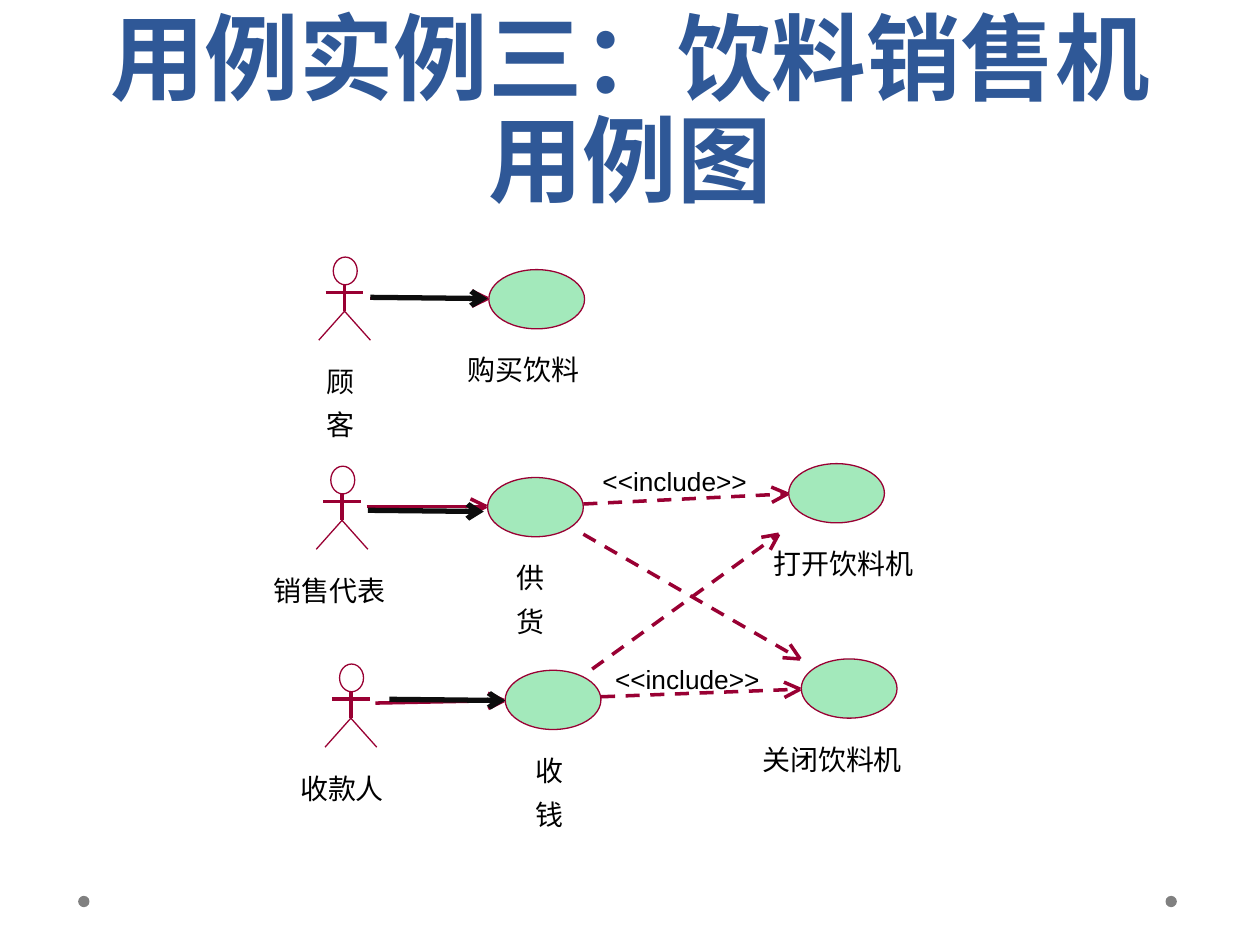
import math
from lxml import etree
from pptx import Presentation
from pptx import util as u
from pptx.dml.color import RGBColor
from pptx.enum import dml, shapes, text
from pptx.oxml.ns import qn

INK = {"title": "2F5897", "text": "000000", "edge": "990033",
       "case": "A3E9BB", "heavy": "0D0D0D", "dot": "808080"}
SERIF = "Times New Roman"
CASE = (0.76, 0.47)


def tint(name):
    return RGBColor.from_string(INK[name])


def edge(part):
    part.line.color.rgb = tint("edge")
    part.line.width = u.Pt(0)


def oval(slide, box, fill=None, lined=True):
    part = slide.shapes.add_shape(shapes.MSO_SHAPE.OVAL, *map(u.Inches, box))
    part.shadow.inherit = False
    if fill:
        part.fill.solid()
        part.fill.fore_color.rgb = tint(fill)
    else:
        part.fill.background()
    if lined:
        edge(part)
    else:
        part.line.fill.background()


def line(slide, start, end, dash=False):
    part = slide.shapes.add_connector(
        shapes.MSO_CONNECTOR.STRAIGHT, *map(u.Inches, (*start, *end)))
    edge(part)
    if dash:
        part.line.dash_style = dml.MSO_LINE.DASH
    etree.SubElement(part._element.spPr, qn("a:effectLst"))
    return part


def arrow(slide, start, end, dash=False):
    line(slide, start, end, dash)
    x, y = end
    angle = math.atan2(start[1] - y, start[0] - x)
    for turn in (-0.45, 0.45):
        line(slide, end, (x + 0.14 * math.cos(angle + turn),
                          y + 0.14 * math.sin(angle + turn)))


def heavy(slide, start, end):
    part = line(slide, start, end)
    part.line.color.rgb = tint("heavy")
    part.line.width = u.Pt(3)
    etree.SubElement(part.line._get_or_add_ln(), qn("a:tailEnd"), type="arrow")


def label(slide, words, box, font=SERIF, size=16):
    frame = slide.shapes.add_textbox(*map(u.Inches, box)).text_frame
    frame.margin_left = frame.margin_right = 0
    frame.margin_top = frame.margin_bottom = 0
    frame.word_wrap = False
    frame.auto_size = text.MSO_AUTO_SIZE.SHAPE_TO_FIT_TEXT
    para = frame.paragraphs[0]
    para.text = words
    para.alignment = text.PP_ALIGN.CENTER
    para.line_spacing = 1.3
    para.font.name = font
    para.font.size = u.Pt(size)
    para.font.color.rgb = tint("text")


def actor(slide, box, name, left, width):
    x, y, w, h = box
    mid = x + w / 2
    neck, hip = y + 0.22, y + 0.43
    oval(slide, (mid - 0.09, y, 0.19, 0.22))
    line(slide, (mid, neck), (mid, hip))
    line(slide, (mid - 0.15, neck + 0.06), (mid + 0.15, neck + 0.06))
    pen = slide.shapes.build_freeform(u.Inches(x), u.Inches(y + h))
    pen.add_line_segments([(u.Inches(mid), u.Inches(hip)),
                           (u.Inches(x + w), u.Inches(y + h))], close=False)
    legs = pen.convert_to_shape()
    legs.shadow.inherit = False
    legs.fill.background()
    edge(legs)
    label(slide, name, (left, y + 0.77, width, 0.35))


def case(slide, box, name, left, width, font=SERIF):
    oval(slide, box, "case")
    label(slide, name, (left, box[1] + 0.58, width, 0.35), font)


def heading(slide, box, words):
    title = slide.shapes.title
    title.left, title.top, title.width, title.height = map(u.Inches, box)
    frame = title.text_frame
    frame.vertical_anchor = text.MSO_ANCHOR.BOTTOM
    frame.word_wrap = True
    para = frame.paragraphs[0]
    para.text = words
    para.alignment = text.PP_ALIGN.CENTER
    para.line_spacing = u.Pt(58)
    para.font.name = "Roboto"
    para.font.size = u.Pt(54)
    para.font.bold = True
    para.font.color.rgb = tint("title")


def footer(slide, box):
    x, y, w, h = box
    for left in (x, x + w - h):
        oval(slide, (left, y, h, h), "dot", False)


def diagram(slide):
    for x, y, name, left, width in (
            (2.53, 2.04, "顾客", 2.48, 0.44),
            (2.51, 3.7, "销售代表", 2.17, 0.89),
            (2.58, 5.27, "收款人", 2.38, 0.67)):
        actor(slide, (x, y, 0.41, 0.66), name, left, width)
    for x, y, name, left, width, font in (
            (3.88, 2.14, "购买饮料", 3.71, 0.89, "Arial"),
            (3.87, 3.79, "供货", 3.99, 0.44, SERIF),
            (4.01, 5.32, "收钱", 4.14, 0.44, SERIF),
            (6.26, 3.68, "打开饮料机", 6.14, 1.11, SERIF),
            (6.36, 5.23, "关闭饮料机", 6.05, 1.11, SERIF)):
        case(slide, (x, y, *CASE), name, left, width, font)
    for start, end in (((2.94, 2.37), (3.87, 2.37)),
                       ((2.91, 4.02), (3.86, 4.02)),
                       ((2.98, 5.58), (4, 5.56))):
        arrow(slide, start, end)
    for start, end in (((4.63, 4), (6.25, 3.92)),
                       ((4.7, 5.31), (6.18, 4.24)),
                       ((4.63, 4.24), (6.35, 5.23)),
                       ((4.77, 5.53), (6.35, 5.47))):
        arrow(slide, start, end, True)
    for x, y in ((4.78, 3.62), (4.88, 5.19)):
        label(slide, "<<include>>", (x, y, 1.15, 0.33), "Arial", 15)
    for start, end in (((2.94, 2.36), (3.87, 2.37)),
                       ((2.92, 4.05), (3.84, 4.06)),
                       ((3.09, 5.55), (4.01, 5.56))):
        heavy(slide, start, end)


def main():
    deck = Presentation()
    deck.slide_width, deck.slide_height = u.Inches(10), u.Inches(7.5)
    slide = deck.slides.add_slide(deck.slide_layouts[5])
    footer(slide, (0.62, 7.11, 8.72, 0.09))
    heading(slide, (0.5, 0, 9, 1.75), "用例实例三：饮料销售机用例图")
    diagram(slide)
    deck.save("out.pptx")


if __name__ == "__main__":
    main()
